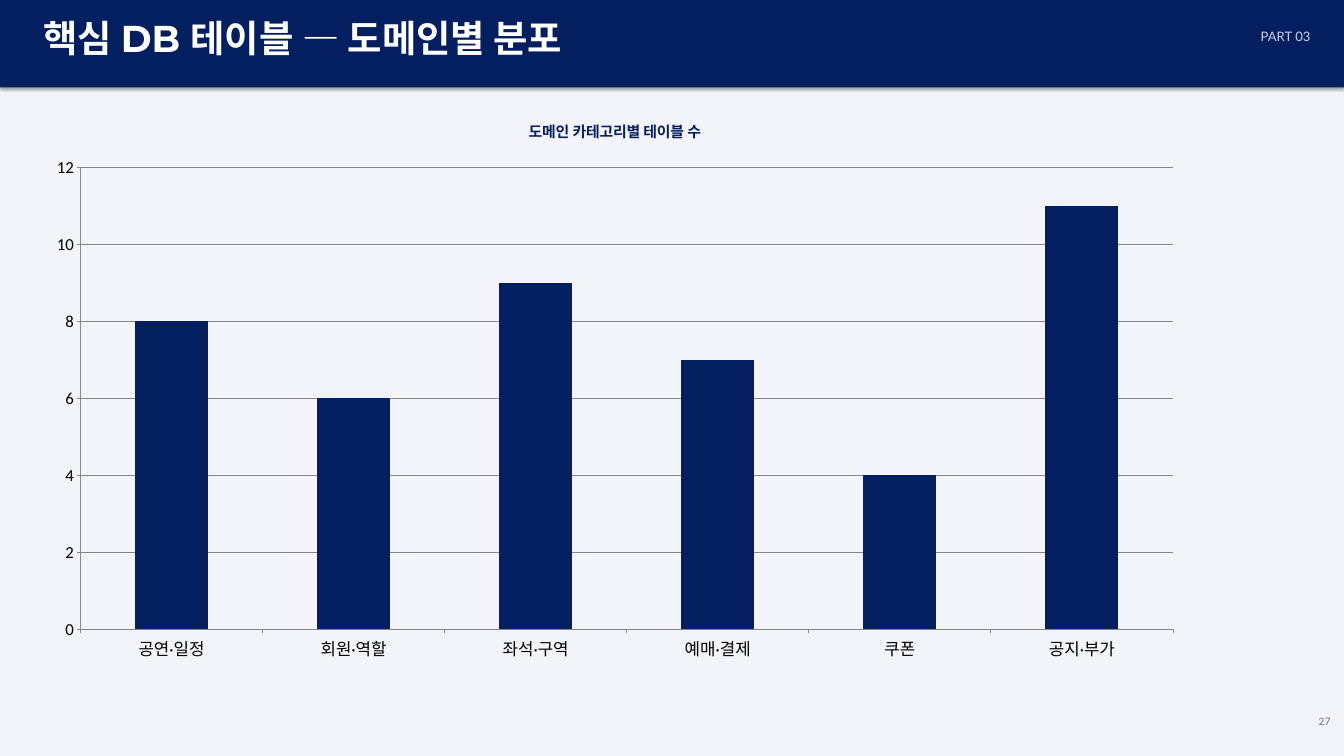
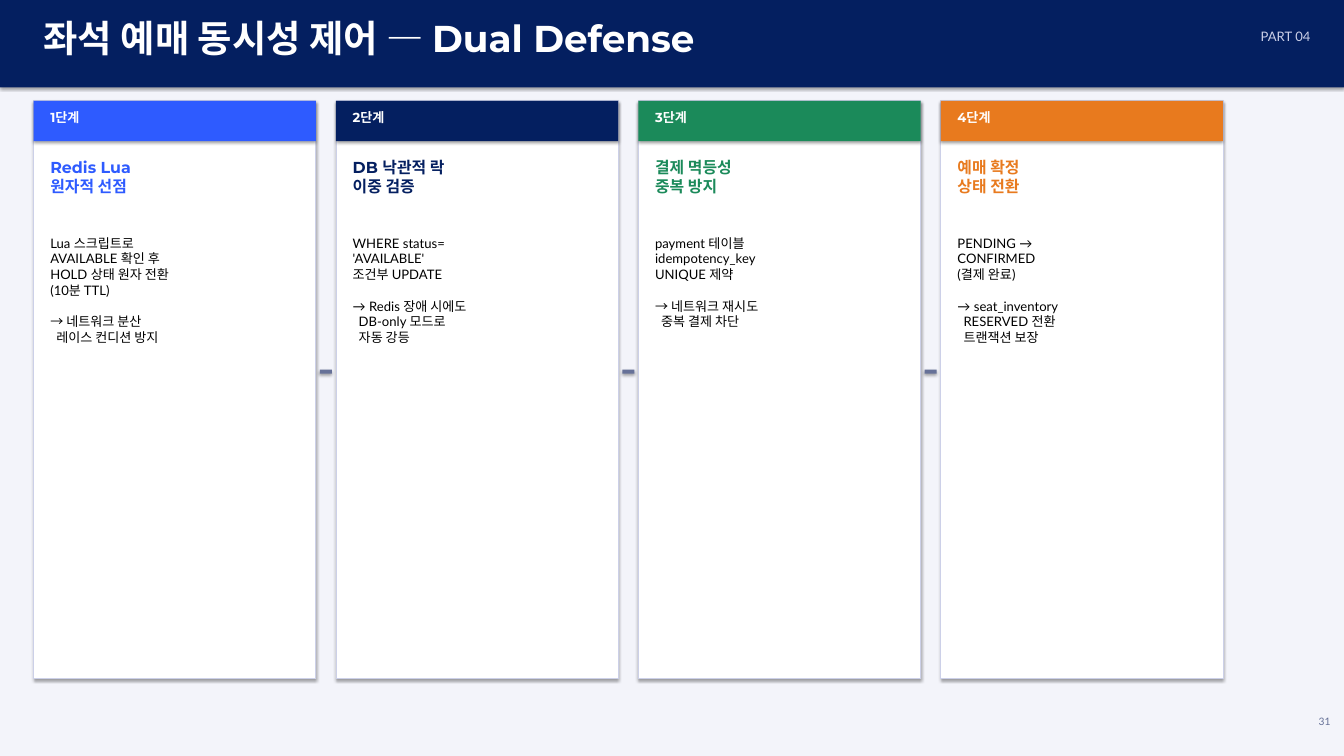
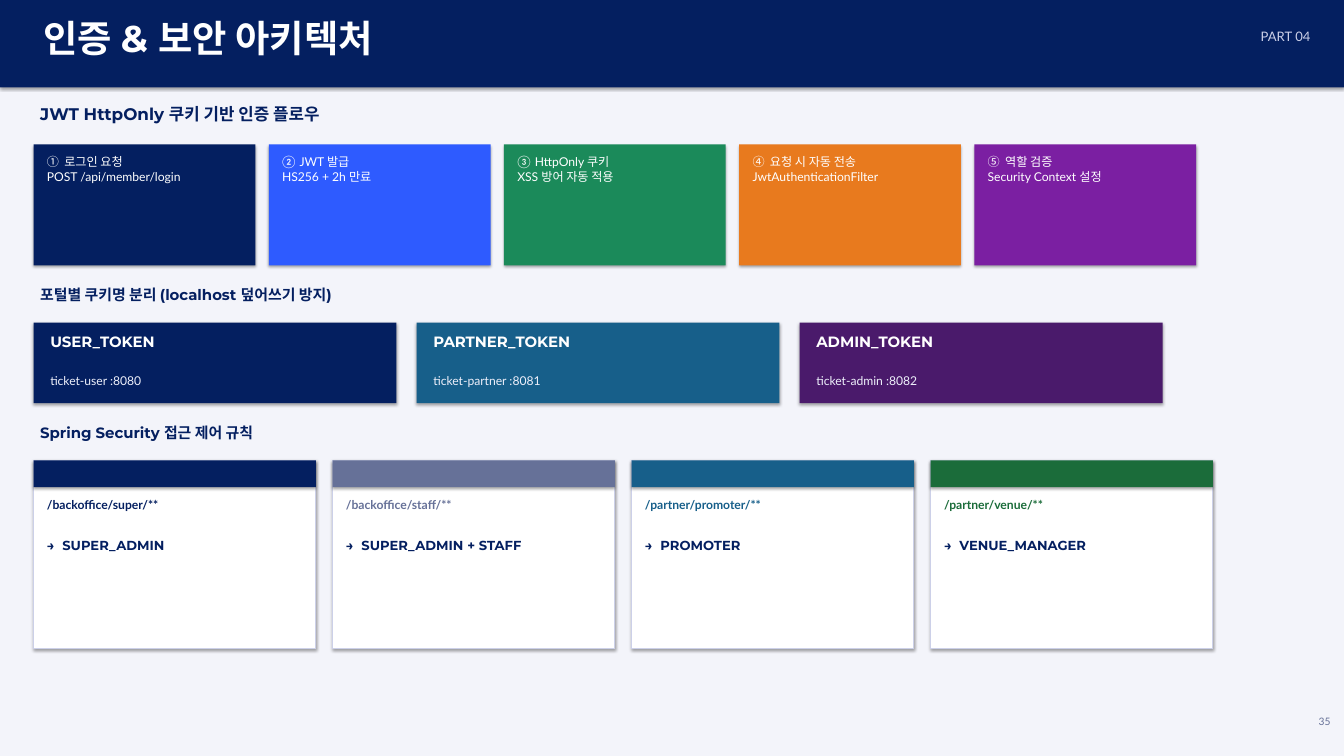
from pptx import Presentation
from pptx.chart.data import CategoryChartData
from pptx.dml.color import RGBColor
from pptx.enum.chart import XL_CHART_TYPE
from pptx.enum.shapes import MSO_SHAPE
from pptx.enum.text import MSO_ANCHOR, MSO_AUTO_SIZE, PP_ALIGN
from pptx.oxml.ns import qn
from pptx.util import Emu, Pt
from lxml import etree

RECTANGLE = MSO_SHAPE.RECTANGLE
COLUMNS = XL_CHART_TYPE.COLUMN_CLUSTERED
GROW = MSO_AUTO_SIZE.SHAPE_TO_FIT_TEXT
TOP = MSO_ANCHOR.TOP
LEFT, RIGHT = PP_ALIGN.LEFT, PP_ALIGN.RIGHT

PX = 9144
MARGIN = 50
HEAD_FONT, BODY_FONT, CHART_FONT = "Montserrat", "Lato", "Calibri"
NAVY, BLUE, GREEN, ORANGE = "041F60", "2E5BFF", "1B8A5A", "E87A1E"
PURPLE, TEAL, PLUM, FOREST = "7B1FA2", "175F8A", "4A1A6B", "1B6C3A"
SLATE, PALE, MIST, PAPER = "667198", "CCD0E8", "EEF0FB", "F3F4FA"
WHITE, BLACK = "FFFFFF", "000000"

TABLE_COUNTS = {
    "공연·일정": 8, "회원·역할": 6, "좌석·구역": 9,
    "예매·결제": 7, "쿠폰": 4, "공지·부가": 11,
}

STAGES = [
    ("1단계", BLUE, "Redis Lua\n원자적 선점",
     "Lua 스크립트로\nAVAILABLE 확인 후\nHOLD 상태 원자 전환\n(10분 TTL)",
     "→ 네트워크 분산\n레이스 컨디션 방지"),
    ("2단계", NAVY, "DB 낙관적 락\n이중 검증",
     "WHERE status=\n'AVAILABLE'\n조건부 UPDATE",
     "→ Redis 장애 시에도\nDB-only 모드로\n자동 강등"),
    ("3단계", GREEN, "결제 멱등성\n중복 방지",
     "payment 테이블\nidempotency_key\nUNIQUE 제약",
     "→ 네트워크 재시도\n중복 결제 차단"),
    ("4단계", ORANGE, "예매 확정\n상태 전환",
     "PENDING →\nCONFIRMED\n(결제 완료)",
     "→ seat_inventory\nRESERVED 전환\n트랜잭션 보장"),
]

LOGIN_STEPS = [
    (NAVY, "①\t로그인 요청\nPOST /api/member/login"),
    (BLUE, "②\tJWT 발급\nHS256 + 2h 만료"),
    (GREEN, "③\tHttpOnly 쿠키\nXSS 방어 자동 적용"),
    (ORANGE, "④\t요청 시 자동 전송\nJwtAuthenticationFilter"),
    (PURPLE, "⑤\t역할 검증\nSecurity Context 설정"),
]

COOKIES = [
    (NAVY, "USER_TOKEN", "ticket-user :8080"),
    (TEAL, "PARTNER_TOKEN", "ticket-partner :8081"),
    (PLUM, "ADMIN_TOKEN", "ticket-admin :8082"),
]

ACCESS_RULES = [
    (NAVY, "/backoffice/super/**", "SUPER_ADMIN"),
    (SLATE, "/backoffice/staff/**", "SUPER_ADMIN + STAFF"),
    (TEAL, "/partner/promoter/**", "PROMOTER"),
    (FOREST, "/partner/venue/**", "VENUE_MANAGER"),
]


def color(code):
    return RGBColor.from_string(code)


def place(*lengths):
    return [Emu(length * PX) for length in lengths]


def columns(items, width, gap):
    for index, item in enumerate(items):
        yield MARGIN + index * (width + gap), item


def set_font(font, size, ink, name, bold=False):
    font.size = Pt(size)
    font.name = name
    font.bold = bold
    font.color.rgb = color(ink)


def write(para, text, size, ink, name=BODY_FONT, bold=False, align=LEFT, tab=0):
    para.text = text
    para.alignment = align
    if tab:
        stops = etree.SubElement(para._p.get_or_add_pPr(), qn("a:tabLst"))
        etree.SubElement(stops, qn("a:tab"), pos=str(tab * PX), algn="l")
    set_font(para.font, size, ink, name, bold)


def prepare(frame):
    frame.word_wrap = True
    frame.auto_size = GROW
    frame.vertical_anchor = TOP
    return frame.paragraphs[0]


def add_text(page, at, text, size, ink, **style):
    box = page.shapes.add_textbox(*place(*at))
    write(prepare(box.text_frame), text, size, ink, **style)
    return box


def add_heading(page, at, text, size, ink=NAVY, **style):
    return add_text(page, at, text, size, ink, name=HEAD_FONT, bold=True, **style)


def add_block(page, at, fill, border=None):
    block = page.shapes.add_shape(RECTANGLE, *place(*at))
    block.fill.solid()
    block.fill.fore_color.rgb = color(fill)
    if border:
        block.line.color.rgb = color(border)
        block.line.width = Pt(1)
    else:
        block.line.fill.background()
    return block


def add_card(page, left, top, width, height, cap_height, accent):
    add_block(page, (left, top, width, height), WHITE, PALE)
    add_block(page, (left, top, width, cap_height), accent)


def add_page(deck, heading, part, number):
    page = deck.slides.add_slide(deck.slide_layouts[5])
    title = page.shapes.title
    title.left, title.top, title.width, title.height = place(55, 18, 1400, 95)
    write(prepare(title.text_frame), heading, 40, WHITE, HEAD_FONT, True)
    band = add_block(page, (0, 0, 2000, 130), NAVY)
    title._element.addprevious(band._element)
    add_text(page, (1580, 38, 380, 60), part, 14, PALE, align=RIGHT)
    add_text(page, (1930, 1060, 60, 40), number, 11, SLATE, align=RIGHT)
    return page


def build_table_chart(deck):
    page = add_page(deck, "핵심 DB 테이블 — 도메인별 분포", "PART 03", "27")
    data = CategoryChartData()
    data.categories = list(TABLE_COUNTS)
    data.add_series("Series 1", list(TABLE_COUNTS.values()))
    chart = page.shapes.add_chart(COLUMNS, *place(MARGIN, 150, 1730, 850), data).chart
    set_font(chart.font, 18, BLACK, CHART_FONT)
    chart.has_legend = False
    chart.has_title = True
    caption = chart.chart_title.text_frame.paragraphs[0]
    caption.text = "도메인 카테고리별 테이블 수"
    set_font(caption.font, 16, NAVY, CHART_FONT, True)
    plot = chart.plots[0]
    plot.vary_by_categories = False
    plot.gap_width = 150
    bars = plot.series[0].format.fill
    bars.solid()
    bars.fore_color.rgb = color(NAVY)


def build_dual_defense(deck):
    page = add_page(deck, "좌석 예매 동시성 제어 — Dual Defense", "PART 04", "31")
    width, gap, hanging = 420, 30, 9
    for left, (label, accent, heading, detail, effect) in columns(STAGES, width, gap):
        if left > MARGIN:
            add_block(page, (left - gap + 6, 550, 18, 6), SLATE)
        add_card(page, left, 150, width, 860, 60, accent)
        inner = left + 15
        add_heading(page, (inner, 158, 390, 45), label, 14, WHITE)
        add_heading(page, (inner, 230, 390, 100), heading, 17, accent)
        box = add_text(page, (inner, 345, 390, 630), detail, 14, BLACK)
        para = box.text_frame.add_paragraph()
        para.space_before = Pt(17)
        write(para, effect, 14, BLACK)
        indents = para._p.get_or_add_pPr()
        indents.set("marL", str(hanging * PX))
        indents.set("indent", str(-hanging * PX))


def build_security(deck):
    page = add_page(deck, "인증 & 보안 아키텍처", "PART 04", "35")

    add_heading(page, (MARGIN, 150, 1000, 50), "JWT HttpOnly 쿠키 기반 인증 플로우", 18)
    for left, (fill, step) in columns(LOGIN_STEPS, 330, 20):
        add_block(page, (left, 215, 330, 180), fill)
        add_text(page, (left + 10, 225, 310, 160), step, 13, WHITE, tab=26)

    add_heading(page, (MARGIN, 420, 1000, 45),
                "포털별 쿠키명 분리 (localhost 덮어쓰기 방지)", 16)
    for left, (fill, token, host) in columns(COOKIES, 540, 30):
        add_block(page, (left, 480, 540, 120), fill)
        add_heading(page, (left + 15, 490, 510, 50), token, 16, WHITE)
        add_text(page, (left + 15, 550, 510, 40), host, 13, MIST)

    add_heading(page, (MARGIN, 625, 1000, 45), "Spring Security 접근 제어 규칙", 16)
    for left, (accent, route, role) in columns(ACCESS_RULES, 420, 25):
        add_card(page, left, 685, 420, 280, 40, accent)
        add_text(page, (left + 10, 735, 400, 50), route, 13, accent, bold=True)
        add_heading(page, (left + 10, 795, 400, 50), f"→\t{role}", 14, tab=23)


def main():
    deck = Presentation()
    deck.slide_width, deck.slide_height = place(2000, 1125)
    backdrop = deck.slide_master.background.fill
    backdrop.solid()
    backdrop.fore_color.rgb = color(PAPER)
    build_table_chart(deck)
    build_dual_defense(deck)
    build_security(deck)
    deck.save("out.pptx")


if __name__ == "__main__":
    main()
